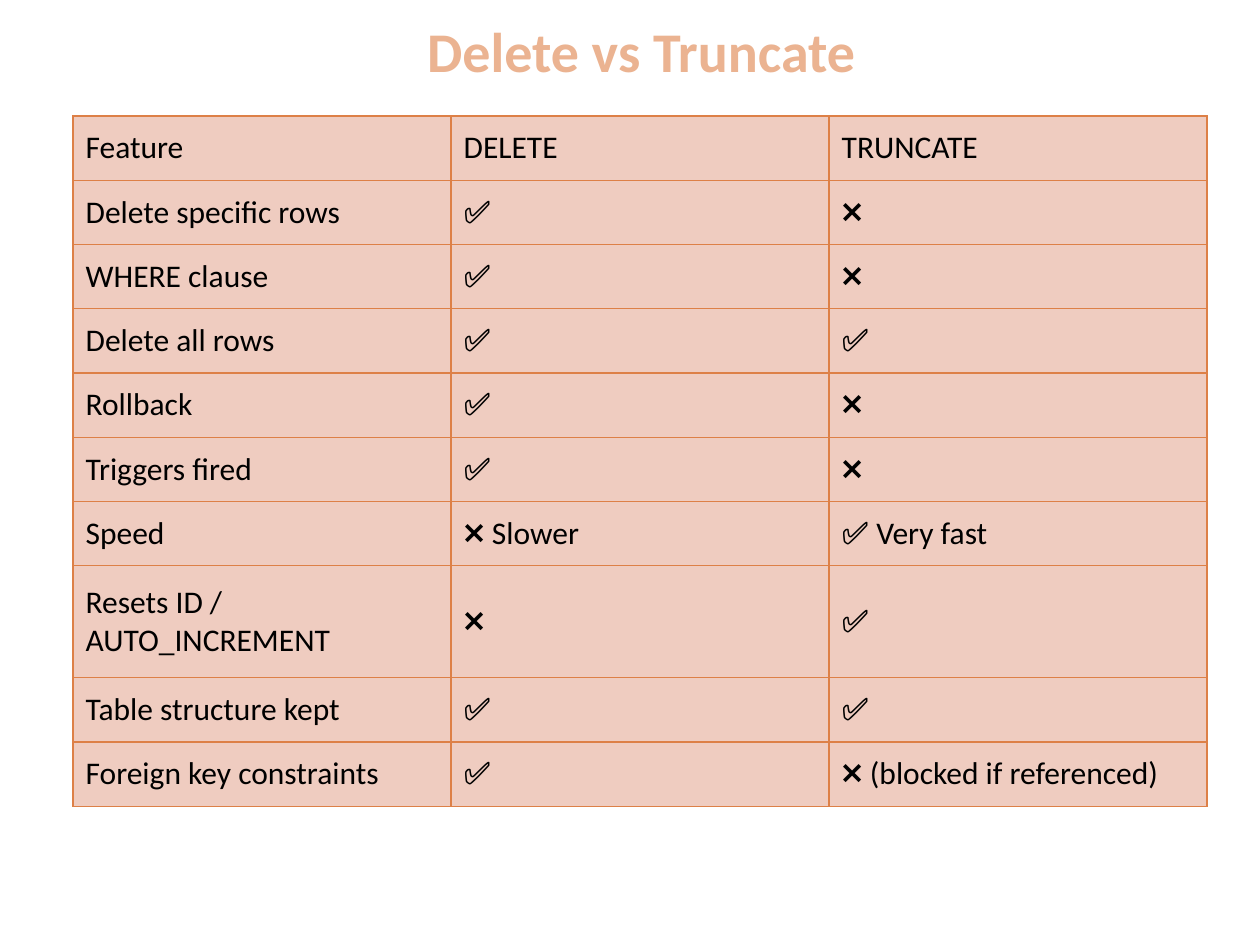
import pptx
import pptx.util
import pptx.dml.color
import pptx.enum.text
import pptx.oxml.ns
import lxml.etree

Inches = pptx.util.Inches
Pt = pptx.util.Pt


def rgb(h):
    return pptx.dml.color.RGBColor.from_string(h)


def write(tf, text, size=18, color="000000", bold=False, align=pptx.enum.text.PP_ALIGN.LEFT):
    p = tf.paragraphs[0]
    p.alignment = align
    r = p.add_run()
    r.text = text
    r.font.name = "Calibri"
    r.font.size = Pt(size)
    r.font.bold = bold
    r.font.color.rgb = rgb(color)


prs = pptx.Presentation()
prs.slide_width, prs.slide_height = Inches(10), Inches(7.5)
s = prs.slides.add_slide(prs.slide_layouts[5])

rows = [
    ("Feature", "DELETE", "TRUNCATE"),
    ("Delete specific rows", "✅", "❌"),
    ("WHERE clause", "✅", "❌"),
    ("Delete all rows", "✅", "✅"),
    ("Rollback", "✅", "❌"),
    ("Triggers fired", "✅", "❌"),
    ("Speed", "❌ Slower", "✅ Very fast"),
    ("Resets ID / AUTO_INCREMENT", "❌", "✅"),
    ("Table structure kept", "✅", "✅"),
    ("Foreign key constraints", "✅", "❌ (blocked if referenced)"),
]
tall = 7
row_h, tall_h = 0.51, 0.89
table_h = row_h * (len(rows) - 1) + tall_h
table = s.shapes.add_table(
    len(rows), 3, Inches(0.58), Inches(0.92), Inches(9), Inches(table_h)
).table
for i, row in enumerate(rows):
    table.rows[i].height = Inches(tall_h if i == tall else row_h)
    for j, text in enumerate(row):
        cell = table.cell(i, j)
        cell.vertical_anchor = pptx.enum.text.MSO_ANCHOR.MIDDLE
        write(cell.text_frame, text)
        tcPr = cell._tc.get_or_add_tcPr()
        for side in ("a:lnL", "a:lnR", "a:lnT", "a:lnB"):
            ln = lxml.etree.SubElement(tcPr, pptx.oxml.ns.qn(side), w=str(Pt(0.79)))
            fill = lxml.etree.SubElement(ln, pptx.oxml.ns.qn("a:solidFill"))
            lxml.etree.SubElement(fill, pptx.oxml.ns.qn("a:srgbClr"), val="DD8047")
        cell.fill.solid()
        cell.fill.fore_color.rgb = rgb("EFCCC0")

sp = s.shapes.title
sp.left, sp.top, sp.width, sp.height = Inches(3.22), Inches(0.08), Inches(3.74), Inches(0.64)
tf = sp.text_frame
tf.word_wrap = False
tf.auto_size = pptx.enum.text.MSO_AUTO_SIZE.SHAPE_TO_FIT_TEXT
tf.vertical_anchor = pptx.enum.text.MSO_ANCHOR.TOP
write(tf, "Delete vs Truncate", size=32, color="EBB391", bold=True,
      align=pptx.enum.text.PP_ALIGN.CENTER)

prs.save("out.pptx")
